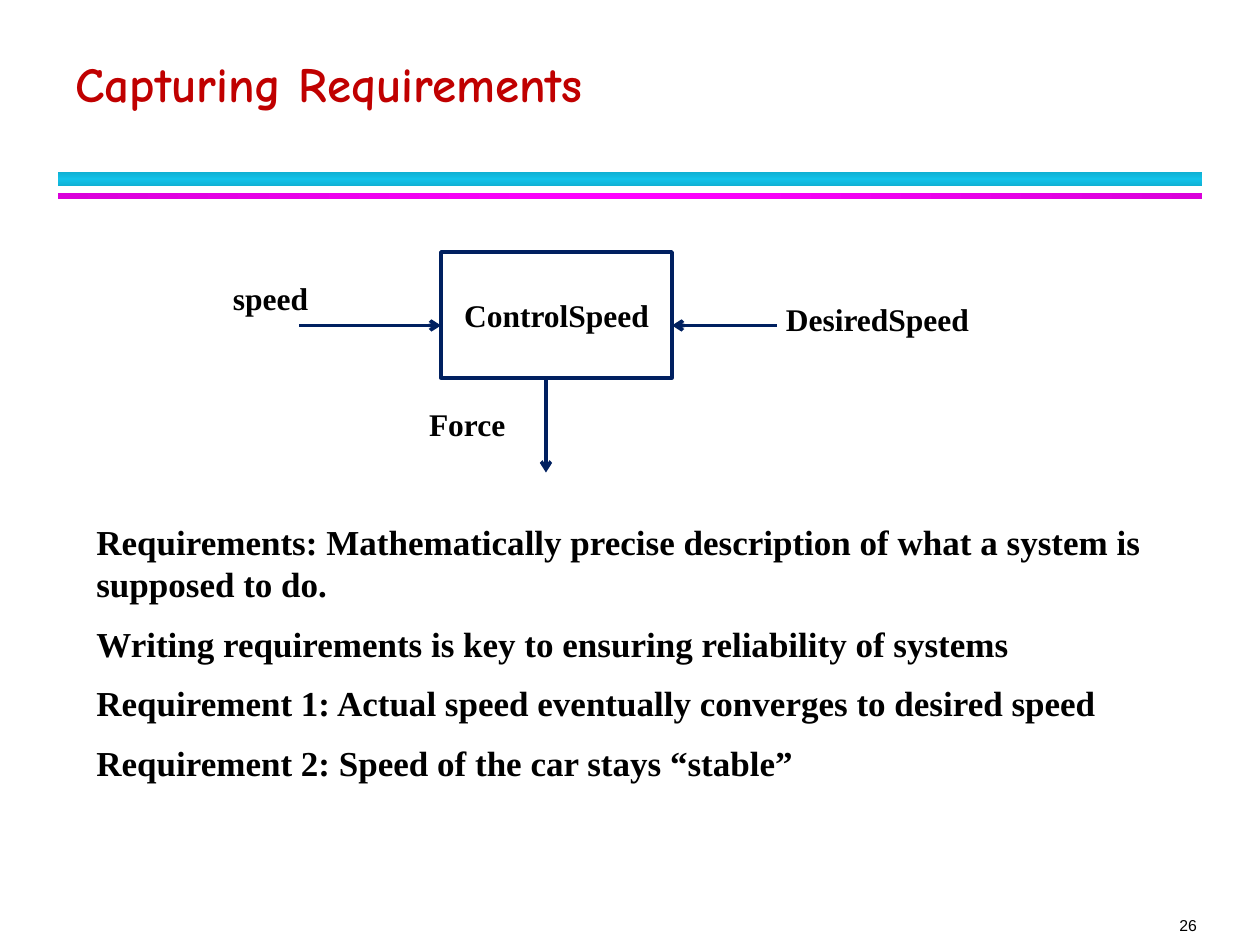
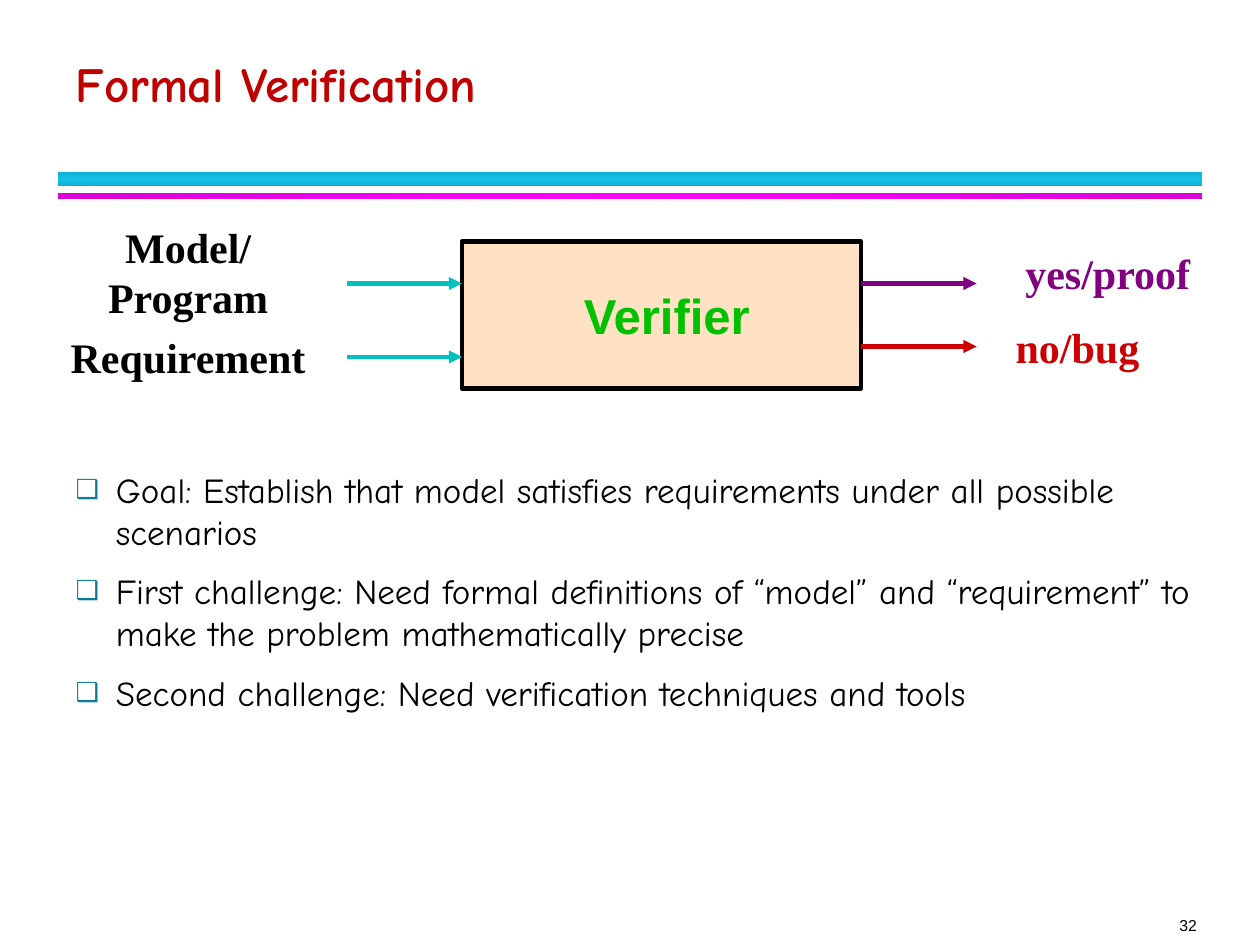
from copy import deepcopy
from lxml import etree
from pptx import Presentation
from pptx.dml.color import RGBColor
from pptx.enum import shapes, text
from pptx.oxml import ns
from pptx.util import Pt

SERIF, HAND, SANS = "Times New Roman", "Comic Neue", "Arial"
BLACK, RED, NAVY = "000000", "C00000", "002060"
TEAL, PLUM, BRICK, GREEN = "00C0C0", "800080", "CC0000", "00C000"
LEFT, MID, RIGHT = text.PP_ALIGN.LEFT, text.PP_ALIGN.CENTER, text.PP_ALIGN.RIGHT
TOP, CORE, BASE = text.MSO_ANCHOR.TOP, text.MSO_ANCHOR.MIDDLE, text.MSO_ANCHOR.BOTTOM


def color(code):
    return RGBColor.from_string(code)


def node(parent, tag, **attrs):
    return etree.SubElement(parent, ns.qn(tag), attrs)


def place(shape, spot):
    shape.left, shape.top, shape.width, shape.height = map(Pt, spot)


def bullet(para):
    props = para._p.get_or_add_pPr()
    props.set("marL", str(Pt(23)))
    props.set("indent", str(Pt(-23)))
    node(node(props, "a:buClr"), "a:srgbClr", val="0C7B9C")
    node(props, "a:buSzPct", val="75000")
    node(props, "a:buChar", char="❑")


def write(frame, lines, size=18, font=SERIF, ink=BLACK, bold=True, align=LEFT,
          anchor=TOP, inset=None, pitch=None, before=0, after=0, marks=False):
    frame.word_wrap = True
    frame.auto_size = text.MSO_AUTO_SIZE.NONE
    frame.vertical_anchor = anchor
    if inset is not None:
        frame.margin_left = frame.margin_right = Pt(inset)
        frame.margin_top = frame.margin_bottom = Pt(inset)
    frame.text = lines
    for num, para in enumerate(frame.paragraphs):
        if marks:
            bullet(para)
        para.alignment = align
        para.space_before = Pt(before if num else 0)
        para.space_after = Pt(after)
        if pitch:
            para.line_spacing = Pt(pitch)
        for run in para.runs:
            run.font.size, run.font.name, run.font.bold = Pt(size), font, bold
            run.font.color.rgb = color(ink)


def label(slide, words, *spot, **style):
    box = slide.shapes.add_textbox(*map(Pt, spot))
    write(box.text_frame, words, **style)


def block(slide, *spot):
    box = slide.shapes.add_shape(shapes.MSO_SHAPE.RECTANGLE, *map(Pt, spot))
    box.shadow.inherit = False
    return box


def outline(box, ink, width):
    box.line.color.rgb = color(ink)
    box.line.width = Pt(width)


def band(slide, top, height, edge, core, angle):
    bar = block(slide, 33, top, 654, height)
    bar.line.fill.background()
    bar.fill.gradient()
    bar.fill.gradient_angle = angle
    stops = bar._element.spPr.find(".//" + ns.qn("a:gsLst"))
    stops.append(deepcopy(stops[0]))
    for stop, ink, pos in zip(bar.fill.gradient_stops, (edge, core, edge), (0, 0.5, 1)):
        stop.color.rgb = color(ink)
        stop.position = pos


def arrow(slide, start, end, ink, width, head):
    line = slide.shapes.add_connector(
        shapes.MSO_CONNECTOR.STRAIGHT, *map(Pt, start + end))
    outline(line, ink, width)
    node(line.line._get_or_add_ln(), "a:tailEnd", type=head)
    node(line._element.spPr, "a:effectLst")


def page(deck, layout, title, number):
    slide = deck.slides.add_slide(deck.slide_layouts[layout])
    label(slide, number, 631, 523, 53, 11, size=9, font=SANS, bold=False,
          align=RIGHT, anchor=BASE, inset=0)
    band(slide, 98.4, 8, "10B0D3", "12C2E9", 90)
    band(slide, 110.2, 3.6, "DA00DA", "FF00FF", 0)
    place(slide.shapes.title, (36, 12, 648, 56))
    write(slide.shapes.title.text_frame, title, size=28, font=HAND, ink=RED,
          anchor=BASE, pitch=36)
    return slide


def capture(deck):
    slide = page(deck, 5, "Capturing Requirements", "26")
    for start, end in (((444, 186), (384, 186)),
                       ((171, 186), (252, 186)),
                       ((312, 216), (312, 270))):
        arrow(slide, start, end, NAVY, 2, "arrow")
    box = block(slide, 252, 144, 132, 72)
    box.fill.background()
    outline(box, NAVY, 2)
    label(slide, "DesiredSpeed", 442, 168, 158, 29)
    label(slide, "speed", 126, 156, 90, 30)
    label(slide, "Force", 210, 228, 114, 29, align=MID)
    label(slide, "ControlSpeed", 252, 165.6, 132, 29, align=MID)
    label(slide, "\n".join((
        "Requirements: Mathematically precise description of what a system is supposed to do.",
        "Writing requirements is key to ensuring reliability of systems",
        "Requirement 1: Actual speed eventually converges to desired speed",
        "Requirement 2: Speed of the car stays “stable”",
    )), 48, 294, 654, 165, size=20, pitch=24, before=10)


def verify(deck):
    slide = page(deck, 1, "Formal Verification", "32")
    box = block(slide, 264, 138, 228, 84)
    box.fill.solid()
    box.fill.fore_color.rgb = color("FFCC99")
    tint = box._element.spPr.find(ns.qn("a:solidFill"))[0]
    node(tint, "a:alpha", val="58000")
    outline(box, BLACK, 2.5)
    for left, top, ink in ((198, 162, TEAL), (198, 204, TEAL),
                           (492, 162, PLUM), (492, 198, BRICK)):
        arrow(slide, (left, top), (left + 66, top), ink, 2.5, "triangle")
    for words, left, top, width, ink in (
            ("Model/Program", 22, 137.5, 171, BLACK),
            ("Requirement", 30, 186, 155, BLACK),
            ("yes/proof", 570, 138, 126, PLUM),
            ("no/bug", 570, 180, 91.5, BRICK)):
        label(slide, words, left, top, width, 36, size=24, ink=ink,
              align=MID, anchor=CORE, pitch=28.5)
    label(slide, "Verifier", 252, 138, 258, 84, size=28, font=SANS, ink=GREEN,
          align=MID, anchor=CORE)
    body = slide.placeholders[1]
    place(body, (36, 264, 666, 174))
    write(body.text_frame, "\n".join((
        "Goal: Establish that model satisfies requirements under all possible scenarios",
        "First challenge: Need formal definitions of “model” and “requirement” to make the problem mathematically precise",
        "Second challenge: Need verification techniques and tools",
    )), size=20, font=HAND, bold=False, pitch=24, before=6, after=4, marks=True)


def main():
    deck = Presentation()
    deck.slide_width, deck.slide_height = Pt(720), Pt(540)
    capture(deck)
    verify(deck)
    deck.save("out.pptx")


if __name__ == "__main__":
    main()
